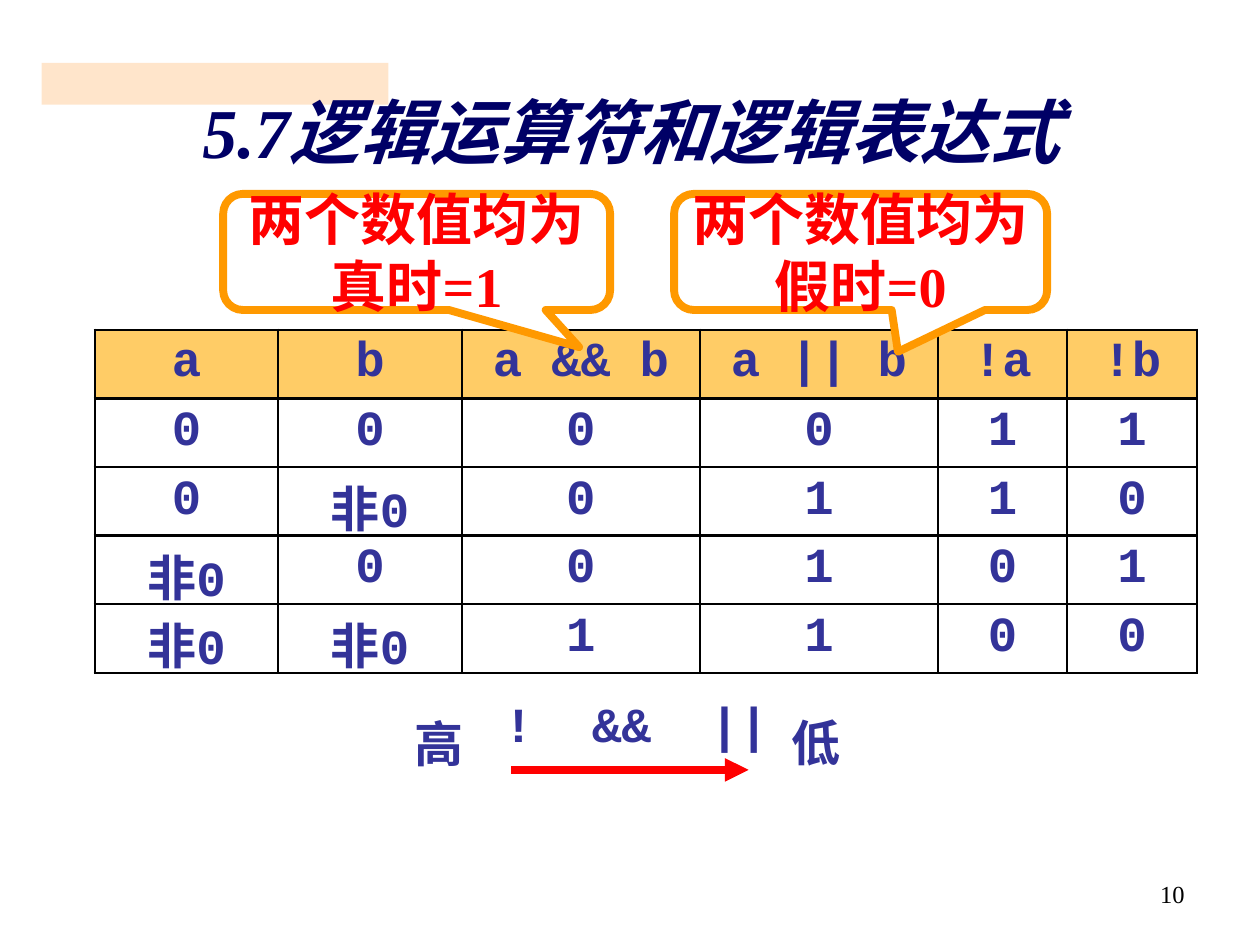
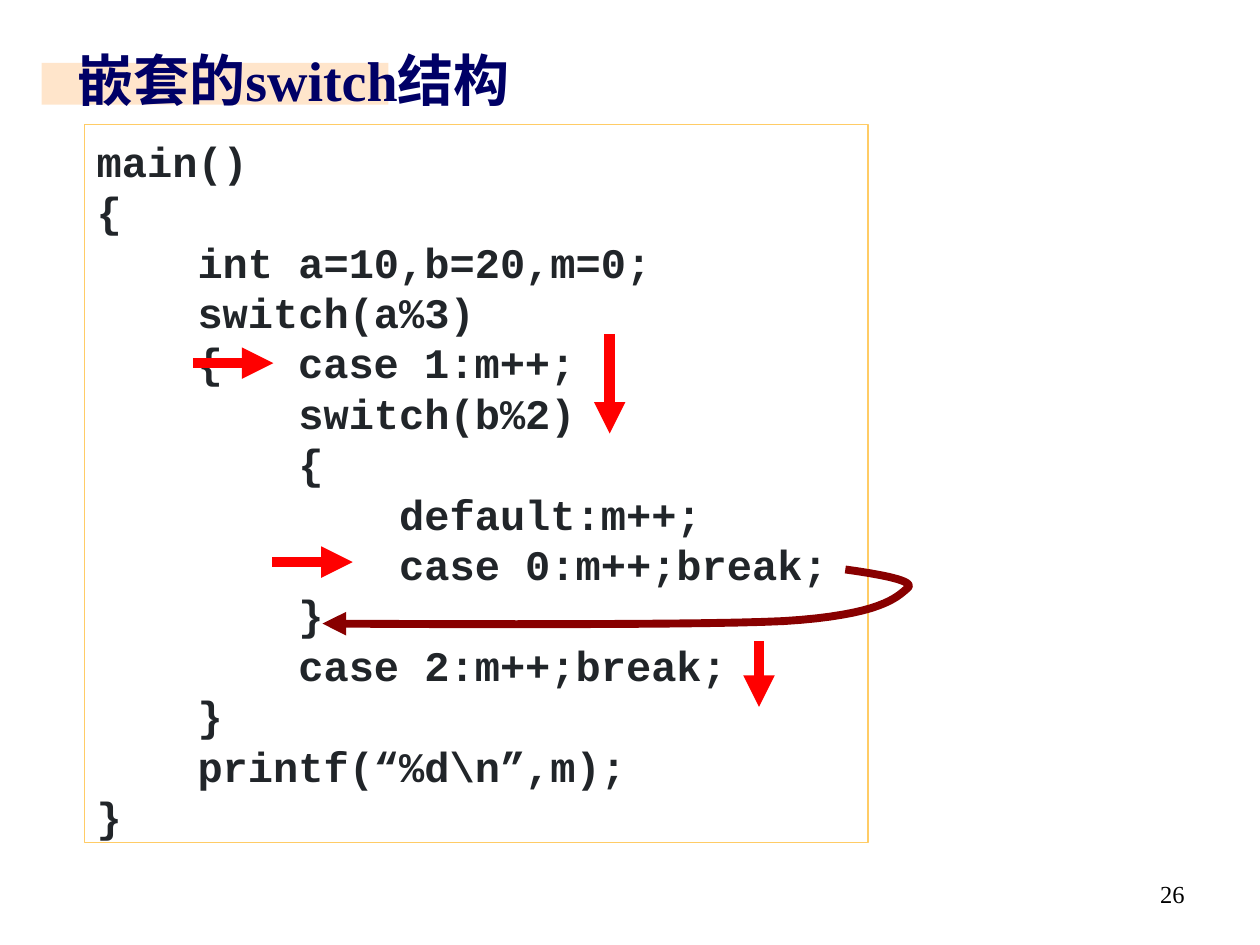
from lxml import etree
from pptx import Presentation
from pptx.dml.color import RGBColor
from pptx.enum.shapes import MSO_CONNECTOR, MSO_SHAPE
from pptx.enum.text import MSO_ANCHOR, MSO_AUTO_SIZE, PP_ALIGN
from pptx.oxml import parse_xml
from pptx.oxml.ns import nsdecls, qn
from pptx.util import Cm, Pt

STRAIGHT = MSO_CONNECTOR.STRAIGHT
RECTANGLE = MSO_SHAPE.RECTANGLE
CALLOUT = MSO_SHAPE.ROUNDED_RECTANGULAR_CALLOUT
TOP, MIDDLE = MSO_ANCHOR.TOP, MSO_ANCHOR.MIDDLE
LEFT, CENTER, RIGHT = PP_ALIGN.LEFT, PP_ALIGN.CENTER, PP_ALIGN.RIGHT

SERIF, MONO = "Times New Roman", "Courier New"
NAVY, INDIGO, BLACK = "000066", "333399", "000000"
RED, MAROON, ORANGE = "FF0000", "880000", "FF9900"
GOLD, PEACH, WHITE, CODE_INK = "FFCC66", "FFCC99", "FFFFFF", "212529"
rgb = RGBColor.from_string


def write(para, text, size, color, font=SERIF, bold=True, align=LEFT, spacing=None):
    para.alignment = align
    para.line_spacing = spacing
    span = para.add_run()
    span.text = text
    span.font.name = font
    span.font.size = Pt(size)
    span.font.bold = bold
    span.font.color.rgb = rgb(color)
    return span


def make_arrow(shape, color, width):
    shape.line.color.rgb = rgb(color)
    shape.line.width = Pt(width)
    properties = shape.element.spPr
    tail = etree.SubElement(properties.find(qn("a:ln")), qn("a:tailEnd"))
    tail.set("type", "triangle")
    etree.SubElement(properties, qn("a:effectLst"))


deck = Presentation()
deck.slide_width, deck.slide_height = Cm(25.4), Cm(19.05)

headings = [
    ("5.7逻辑运算符和逻辑表达式", 40, True, CENTER, (-0.58, 1.6, 26.59, 2.34), "10"),
    ("嵌套的switch结构", 32, False, LEFT, (1.3, 0.53, 21.67, 2.34), "26"),
]
for heading, size, italic, align, place, number in headings:
    page = deck.slides.add_slide(deck.slide_layouts[5])
    band = page.shapes.add_shape(RECTANGLE, Cm(0.84), Cm(1.27), Cm(6.99), Cm(0.84))
    band.shadow.inherit = False
    band.fill.solid()
    band.fill.fore_color.rgb = rgb(PEACH)
    band.line.fill.background()
    tint = band.element.spPr.find(qn("a:solidFill"))[0]
    etree.SubElement(tint, qn("a:alpha")).set("val", "50000")
    page.shapes.element.insert(2, band.element)

    title = page.shapes.title
    title.left, title.top, title.width, title.height = map(Cm, place)
    title.text_frame.auto_size = MSO_AUTO_SIZE.NONE
    title.text_frame.vertical_anchor = MIDDLE
    span = write(title.text_frame.paragraphs[0], heading, size, NAVY,
                 align=align, spacing=0.85)
    span.font.italic = italic
    span.font.fill._xPr.find(qn("a:solidFill")).addnext(parse_xml(
        f'<a:effectLst {nsdecls("a")}><a:outerShdw dist="35921" dir="2700000">'
        f'<a:srgbClr val="{BLACK}"/></a:outerShdw></a:effectLst>'))

    box = page.shapes.add_textbox(Cm(18.21), Cm(17.6), Cm(5.92), Cm(1.32))
    box.text_frame.word_wrap = True
    write(box.text_frame.paragraphs[0], number, 14, BLACK, bold=False, align=RIGHT)

logic, nested = deck.slides

truth_rows = [
    ("a", "b", "a && b", "a || b", "!a", "!b"),
    ("0", "0", "0", "0", "1", "1"),
    ("0", "非0", "0", "1", "1", "0"),
    ("非0", "0", "0", "1", "0", "1"),
    ("非0", "非0", "1", "1", "0", "0"),
]
column_widths = [3.7, 3.7, 4.8, 4.8, 2.6, 2.62]
truth_table = logic.shapes.add_table(
    len(truth_rows), len(column_widths), Cm(1.91), Cm(6.65), Cm(22.22), Cm(6.9)).table
truth_table.first_row = truth_table.horz_banding = False
for column, width in zip(truth_table.columns, column_widths):
    column.width = Cm(width)
for row_index, values in enumerate(truth_rows):
    truth_table.rows[row_index].height = Cm(1.38)
    for column_index, value in enumerate(values):
        cell = truth_table.cell(row_index, column_index)
        write(cell.text_frame.paragraphs[0], value, 28, INDIGO, MONO,
              align=CENTER, spacing=0.95)
        cell_properties = cell._tc.get_or_add_tcPr()
        for side in ("lnL", "lnR", "lnT", "lnB"):
            cell_properties.append(parse_xml(
                f'<a:{side} {nsdecls("a")} w="18700"><a:solidFill>'
                f'<a:srgbClr val="{BLACK}"/></a:solidFill></a:{side}>'))
        if row_index == 0:
            cell.fill.solid()
            cell.fill.fore_color.rgb = rgb(GOLD)
        else:
            cell.fill.background()

precedence = [
    ("!\t&&\t||", MONO, 9.91, 13.94, 7.59),
    ("高", SERIF, 8.1, 14.35, 1.4),
    ("低", SERIF, 15.7, 14.33, 1.4),
]
for text, font, left, top, width in precedence:
    box = logic.shapes.add_textbox(Cm(left), Cm(top), Cm(width), Cm(1.4))
    box.text_frame.word_wrap = True
    para = box.text_frame.paragraphs[0]
    if "\t" in text:
        stops = etree.SubElement(para._p.get_or_add_pPr(), qn("a:tabLst"))
        for stop in (1.78, 4.15):
            etree.SubElement(stops, qn("a:tab"), pos=str(Cm(stop)), algn="l")
    write(para, text, 28, INDIGO, font, spacing=0.95)

callouts = [
    ("两个数值均为真时=1", 4.5, 7.8, (0.42, 0.82, 0.17)),
    ("两个数值均为假时=0", 13.59, 7.52, (0.1, 0.86, 0.17)),
]
for text, left, width, adjustments in callouts:
    callout = logic.shapes.add_shape(CALLOUT, Cm(left), Cm(3.91), Cm(width), Cm(2.34))
    callout.shadow.inherit = False
    for index, adjustment in enumerate(adjustments):
        callout.adjustments[index] = adjustment
    callout.fill.solid()
    callout.fill.fore_color.rgb = rgb(WHITE)
    callout.line.color.rgb = rgb(ORANGE)
    callout.line.width = Pt(4.5)
    callout.text_frame.word_wrap = True
    callout.text_frame.vertical_anchor = MIDDLE
    write(callout.text_frame.paragraphs[0], text, 32, RED, align=CENTER)

code = r"""main()
{
    int a=10,b=20,m=0;
    switch(a%3)
    {	case 1:m++;
        switch(b%2)
        {
            default:m++;
            case 0:m++;break;
        }
        case 2:m++;break;
    }
    printf(“%d\n”,m);
}"""
code_box = nested.shapes.add_shape(RECTANGLE, Cm(1.7), Cm(2.51), Cm(15.8), Cm(14.48))
code_box.shadow.inherit = False
code_box.fill.background()
code_box.line.color.rgb = rgb(GOLD)
code_box.line.width = Pt(0.75)
frame = code_box.text_frame
frame.word_wrap = True
frame.vertical_anchor = TOP
frame.margin_top = Cm(0.22)
for index, line in enumerate(code.splitlines()):
    para = frame.add_paragraph() if index else frame.paragraphs[0]
    if "\t" in line:
        stops = etree.SubElement(para._p.get_or_add_pPr(), qn("a:tabLst"))
        etree.SubElement(stops, qn("a:tab"), pos=str(Cm(4.06)), algn="l")
    write(para, line, 24, CODE_INK, MONO, spacing=Pt(28.8))

arrows = [
    (logic, 4.5, (10.31, 15.52, 15.09, 15.52)),
    (nested, 6, (3.89, 7.32, 5.51, 7.32)),
    (nested, 6, (12.29, 6.73, 12.29, 8.74)),
    (nested, 6, (5.49, 11.33, 7.11, 11.33)),
    (nested, 6, (15.3, 12.93, 15.3, 14.25)),
]
for page, width, ends in arrows:
    make_arrow(page.shapes.add_connector(STRAIGHT, *map(Cm, ends)), RED, width)

break_curves = [
    ((17.04, 11.48), (17.75, 11.58), (18.49, 11.71), (18.29, 11.86)),
    ((18.29, 11.86), (18.08, 12.04), (17.75, 12.4), (15.8, 12.52)),
    ((15.8, 12.52), (13.82, 12.62), (6.5, 12.57), (6.5, 12.57)),
]
STEPS = 16
curve_points = []
for curve in break_curves:
    for step in range(1, STEPS + 1):
        t = step / STEPS
        weights = ((1 - t) ** 3, 3 * t * (1 - t) ** 2, 3 * t ** 2 * (1 - t), t ** 3)
        curve_points.append(tuple(
            Cm(sum(weight * value for weight, value in zip(weights, axis)))
            for axis in zip(*curve)))
start_x, start_y = map(Cm, break_curves[0][0])
outline = nested.shapes.build_freeform(start_x, start_y)
outline.add_line_segments(curve_points, close=False)
break_path = outline.convert_to_shape()
break_path.fill.background()
make_arrow(break_path, MAROON, 4.5)

deck.save("out.pptx")
